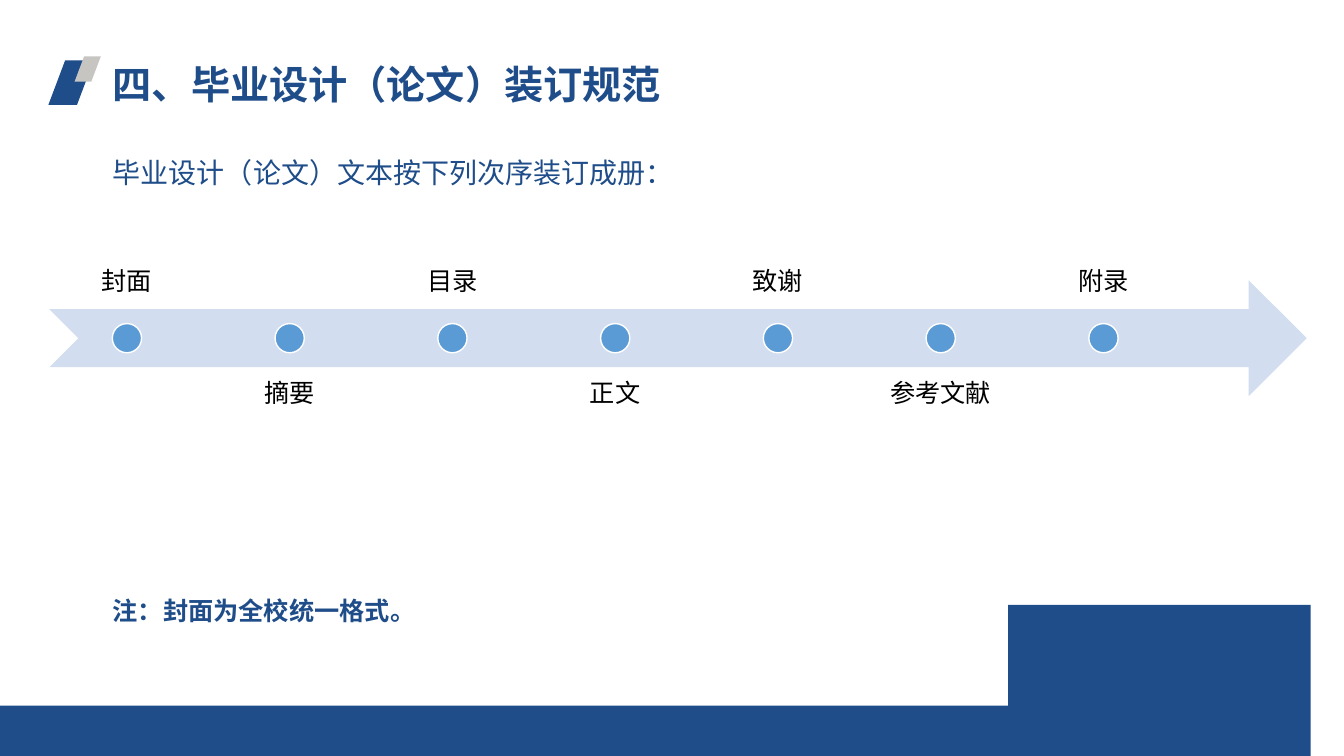
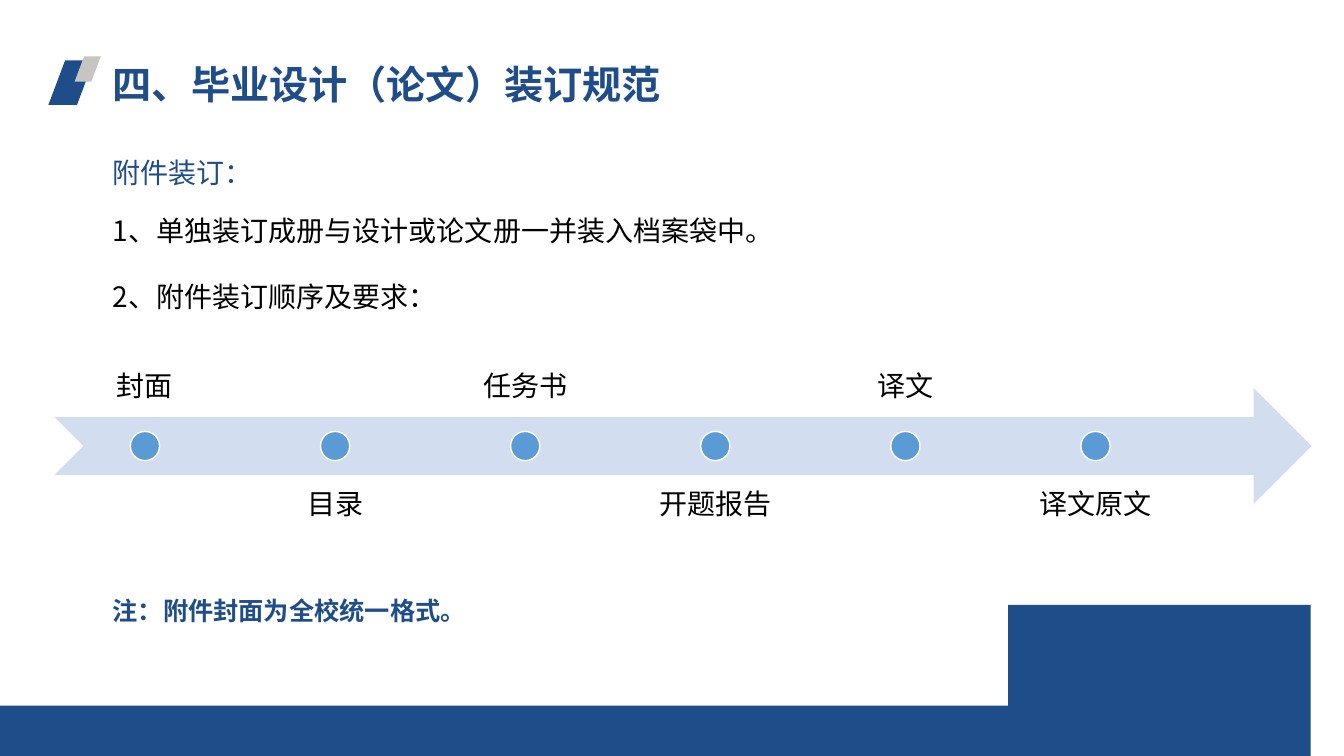
"""Build two slides on the binding order of graduation theses."""
from lxml import etree
from pptx import Presentation, util as u
from pptx.dml.color import RGBColor
from pptx.enum import shapes, text
from pptx.oxml.ns import qn

FONT = "Noto Sans CJK SC"
NAVY, GREY, PALE, BLUE = "1F4D89", "C6C5C2", "D2DEEF", "5B9BD5"
BLACK, WHITE = "000000", "FFFFFF"
MS, ANCHOR = shapes.MSO_SHAPE, text.MSO_ANCHOR
LEFT, ARROW_W, ARROW_H, DOT = 1.02, 12.47, 1.15, 0.29

SLIDES = [
    dict(lines=[(1.49, "毕业设计（论文）文本按下列次序装订成册：", NAVY)],
         note="注：封面为全校统一格式。",
         arrow=(0.49, 2.78), size=18, inset=0.14,
         steps=["封面", "摘要", "目录", "正文", "致谢", "参考文献", "附录"]),
    dict(lines=[(1.49, "附件装订：", NAVY),
                (2.07, "1、单独装订成册与设计或论文册一并装入档案袋中。", BLACK),
                (2.72, "2、附件装订顺序及要求：", BLACK)],
         note="注：附件封面为全校统一格式。",
         arrow=(0.54, 3.85), size=20, inset=0.16,
         steps=["封面", "目录", "任务书", "开题报告", "译文", "译文原文"]),
]


def paint(sp, fill, line=None):
    sp.shadow.inherit = False
    sp.fill.solid()
    sp.fill.fore_color.rgb = RGBColor.from_string(fill)
    if line:
        sp.line.color.rgb = RGBColor.from_string(line)
        sp.line.width = u.Pt(1)
    else:
        sp.line.fill.background()


def add_text(s, box, words, size, color, bold=False, anchor=ANCHOR.TOP,
             spacing=None, align=None, inset=None):
    tf = s.shapes.add_textbox(*map(u.Inches, box)).text_frame
    tf.word_wrap = True
    tf.vertical_anchor = anchor
    if inset:
        tf.margin_left = tf.margin_right = u.Inches(inset)
        tf.margin_top = tf.margin_bottom = u.Inches(inset)
    p = tf.paragraphs[0]
    p.text = words
    p.alignment = align
    p.line_spacing = spacing
    p.font.size = u.Pt(size)
    p.font.bold = bold
    p.font.color.rgb = RGBColor.from_string(color)
    p.font.name = FONT
    etree.SubElement(p.font._rPr, qn("a:ea"), typeface=FONT)


prs = Presentation()
prs.slide_width, prs.slide_height = u.Inches(13.33), u.Inches(7.5)

ends = [(13.05, 5.86), (10.04, 6.67), (5.4, 7.23), (0.32, 6.76)]
curve = []
for i in range(61):
    t = i / 60
    weights = ((1 - t) ** 3, 3 * t * (1 - t) ** 2, 3 * t ** 2 * (1 - t), t ** 3)
    curve.append([sum(w * pt[axis] for w, pt in zip(weights, ends)) for axis in (0, 1)])

for data in SLIDES:
    s = prs.slides.add_slide(prs.slide_layouts[6])

    for box, color in [((0.48, 0.6, 0.45, 0.44), NAVY), ((0.74, 0.56, 0.26, 0.25), GREY)]:
        sp = s.shapes.add_shape(MS.PARALLELOGRAM, *map(u.Inches, box))
        sp.adjustments[0] = 0.377
        paint(sp, color)
    wave = s.shapes.build_freeform(13.33, 5.78, scale=u.Inches(1))
    wave.add_line_segments(curve + [(0, 6.73), (0, 7.5), (13.33, 7.5)])
    paint(wave.convert_to_shape(), NAVY)
    add_text(s, (LEFT, 0.56, 5.65, 0.6), "四、毕业设计（论文）装订规范", 28, NAVY,
             bold=True, anchor=ANCHOR.MIDDLE, spacing=0.9)

    x, y = data["arrow"]
    arrow = s.shapes.add_shape(MS.NOTCHED_RIGHT_ARROW,
                               *map(u.Inches, (x, y, ARROW_W, ARROW_H)))
    paint(arrow, PALE)
    n = len(data["steps"])
    label_w = 0.9 * ARROW_W / (n + 0.05 * (n - 1))
    for i, step in enumerate(data["steps"]):
        left = x + i * 1.05 * label_w
        above = i % 2 == 0
        add_text(s, (left, y + (-0.86 if above else 0.86), label_w, ARROW_H),
                 step, data["size"], BLACK, spacing=0.9, inset=data["inset"],
                 anchor=ANCHOR.BOTTOM if above else ANCHOR.TOP,
                 align=text.PP_ALIGN.CENTER)
        dot = s.shapes.add_shape(MS.OVAL, u.Inches(left + (label_w - DOT) / 2),
                                 u.Inches(y + (ARROW_H - DOT) / 2),
                                 u.Inches(DOT), u.Inches(DOT))
        paint(dot, BLUE, WHITE)

    for top, words, color in data["lines"]:
        add_text(s, (LEFT, top, 11.99, 0.44), words, 20, color)
    add_text(s, (LEFT, 5.71, 4.4, 0.5), data["note"], 18, NAVY, bold=True, spacing=1.5)

prs.save("out.pptx")
